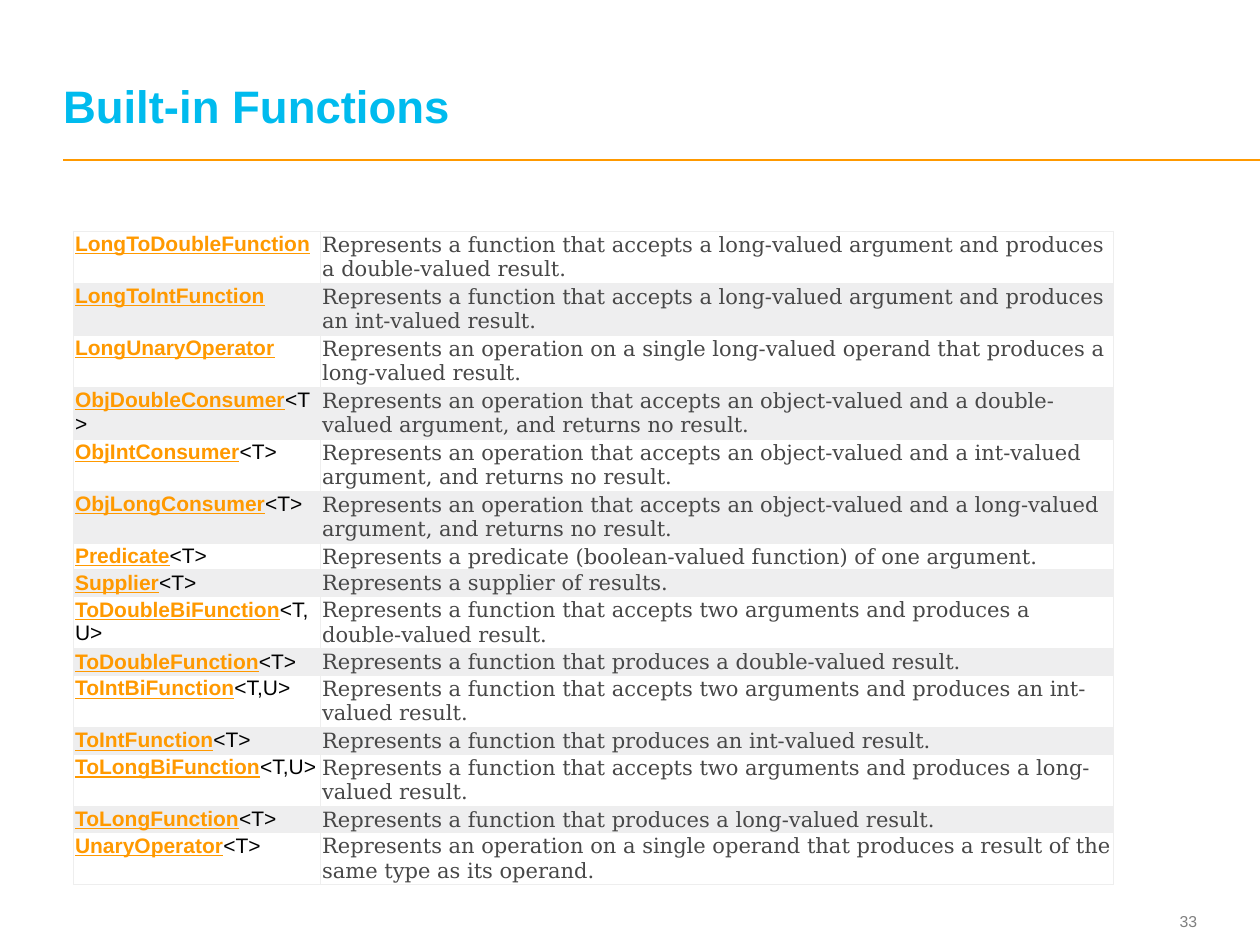
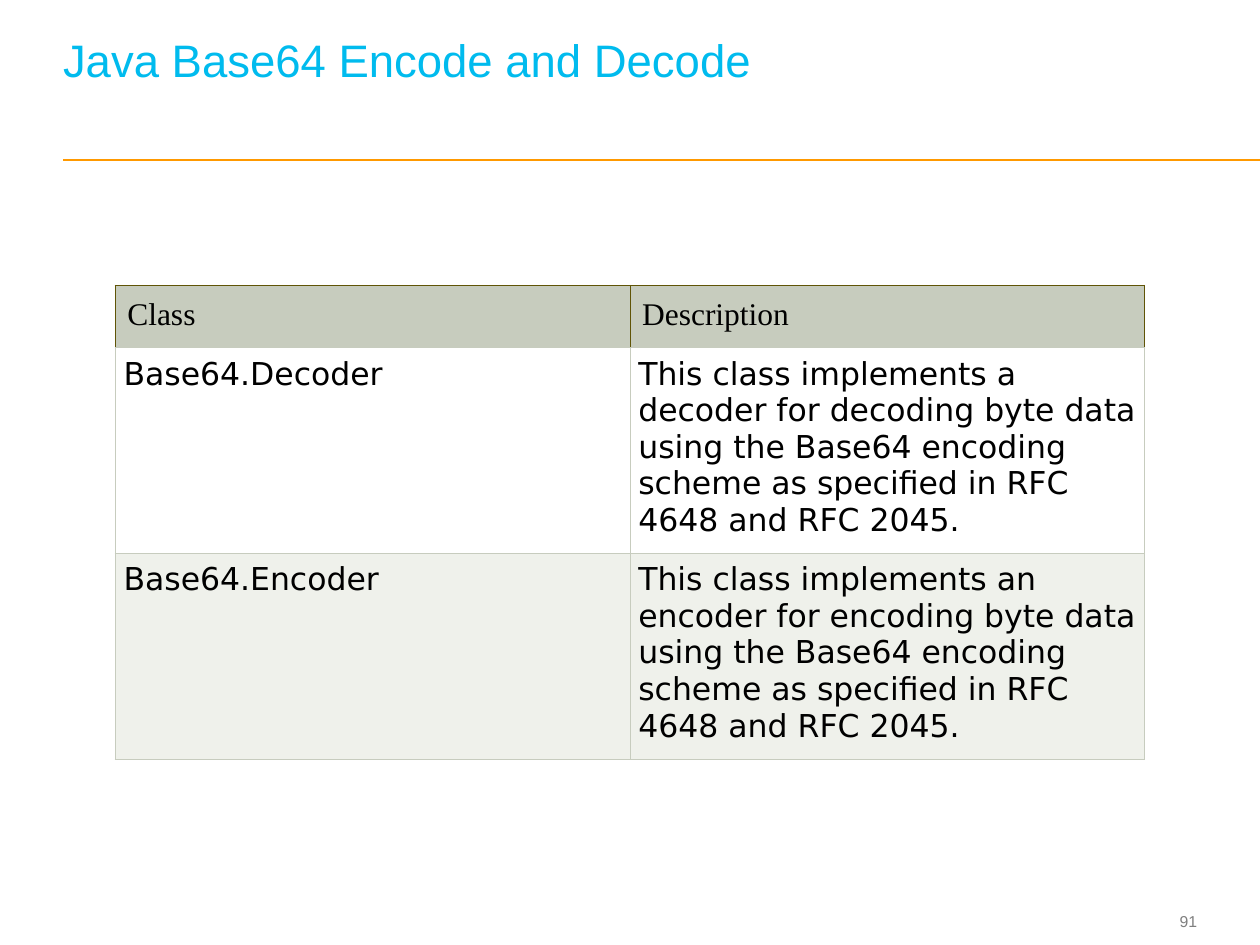
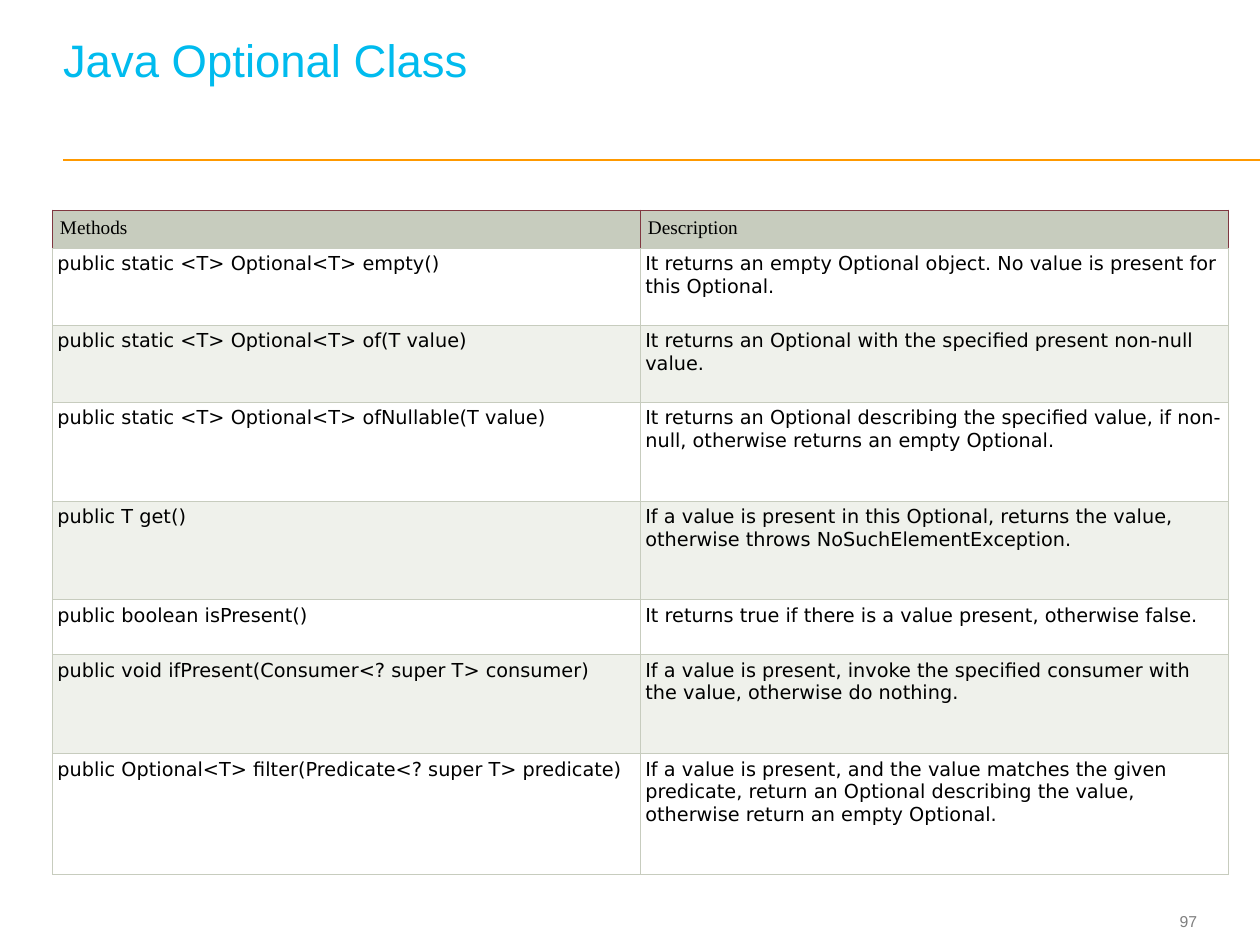
import math

import pptx
import pptx.dml.color
import pptx.enum.shapes
import pptx.enum.text
import pptx.oxml
import pptx.oxml.ns
import pptx.util

Pt = pptx.util.Pt
TITLE_ONLY = 5

COLORS = {
    "title": "00BBEE",
    "accent": "FF9900",
    "page": "7F7F7F",
    "black": "000000",
    "white": "FFFFFF",
    "prose": "474747",
    "grey_band": "EEEEEF",
    "grey_edge": "EEEEEE",
    "sage": "C7CCBE",
    "sage_band": "EFF1EB",
    "olive": "605406",
    "wine": "803740",
}

FUNCTIONS = [
    ("LongToDoubleFunction", "", "Represents a function that accepts a long-valued argument "
     "and produces a double-valued result."),
    ("LongToIntFunction", "", "Represents a function that accepts a long-valued argument "
     "and produces an int-valued result."),
    ("LongUnaryOperator", "", "Represents an operation on a single long-valued operand "
     "that produces a long-valued result."),
    ("ObjDoubleConsumer", "<T>", "Represents an operation that accepts an object-valued "
     "and a double-valued argument, and returns no result."),
    ("ObjIntConsumer", "<T>", "Represents an operation that accepts an object-valued "
     "and a int-valued argument, and returns no result."),
    ("ObjLongConsumer", "<T>", "Represents an operation that accepts an object-valued "
     "and a long-valued argument, and returns no result."),
    ("Predicate", "<T>", "Represents a predicate (boolean-valued function) of one argument."),
    ("Supplier", "<T>", "Represents a supplier of results."),
    ("ToDoubleBiFunction", "<T,U>", "Represents a function that accepts two arguments "
     "and produces a double-valued result."),
    ("ToDoubleFunction", "<T>", "Represents a function that produces a double-valued result."),
    ("ToIntBiFunction", "<T,U>", "Represents a function that accepts two arguments "
     "and produces an int-valued result."),
    ("ToIntFunction", "<T>", "Represents a function that produces an int-valued result."),
    ("ToLongBiFunction", "<T,U>", "Represents a function that accepts two arguments "
     "and produces a long-valued result."),
    ("ToLongFunction", "<T>", "Represents a function that produces a long-valued result."),
    ("UnaryOperator", "<T>", "Represents an operation on a single operand that produces "
     "a result of the same type as its operand."),
]

BASE64_CLASSES = [
    ("Class", "Description"),
    ("Base64.Decoder", "This class implements a decoder for decoding byte data using the "
     "Base64 encoding scheme as specified in RFC 4648 and RFC 2045."),
    ("Base64.Encoder", "This class implements an encoder for encoding byte data using the "
     "Base64 encoding scheme as specified in RFC 4648 and RFC 2045."),
]

OPTIONAL_METHODS = [
    ("Methods", "Description"),
    ("public static <T> Optional<T> empty()",
     "It returns an empty Optional object. No value is present for this Optional."),
    ("public static <T> Optional<T> of(T value)",
     "It returns an Optional with the specified present non-null value."),
    ("public static <T> Optional<T> ofNullable(T value)",
     "It returns an Optional describing the specified value, if non-null, "
     "otherwise returns an empty Optional."),
    ("public T get()",
     "If a value is present in this Optional, returns the value, "
     "otherwise throws NoSuchElementException."),
    ("public boolean isPresent()",
     "It returns true if there is a value present, otherwise false."),
    ("public void ifPresent(Consumer<? super T> consumer)",
     "If a value is present, invoke the specified consumer with the value, "
     "otherwise do nothing."),
    ("public Optional<T> filter(Predicate<? super T> predicate)",
     "If a value is present, and the value matches the given predicate, return an Optional "
     "describing the value, otherwise return an empty Optional."),
]


def rgb(name):
    return pptx.dml.color.RGBColor.from_string(COLORS[name])


def add_run(p, text, font, size, color, bold=False, underline=False):
    r = p.add_run()
    r.text = text
    r.font.name = font
    r.font.size = Pt(size)
    r.font.color.rgb = rgb(color)
    r.font.bold = bold
    r.font.underline = underline


def set_margins(box, left, top, right, bottom):
    box.margin_left, box.margin_top = Pt(left), Pt(top)
    box.margin_right, box.margin_bottom = Pt(right), Pt(bottom)


def add_title(s, text, bold, lift):
    """Fill the title placeholder; lift raises the text above the box's bottom."""
    sp = s.shapes.title
    sp.left, sp.top, sp.width, sp.height = Pt(36), Pt(13.7), Pt(646), Pt(62)
    tf = sp.text_frame
    tf.auto_size = pptx.enum.text.MSO_AUTO_SIZE.NONE
    tf.vertical_anchor = pptx.enum.text.MSO_ANCHOR.BOTTOM
    set_margins(tf, 0, 0, 0, lift)
    p = tf.paragraphs[0]
    p.alignment = pptx.enum.text.PP_ALIGN.LEFT
    p.line_spacing = Pt(26)
    add_run(p, text, "Arial", 26, "title", bold)


def add_title_rule(s):
    line = s.shapes.add_connector(
        pptx.enum.shapes.MSO_CONNECTOR.STRAIGHT, Pt(36), Pt(91.4), Pt(720), Pt(91.4))
    line.line.color.rgb = rgb("accent")
    line.line.width = Pt(1)
    pptx.oxml.ns.qn("a:effectLst")
    line._element.spPr.append(
        pptx.oxml.parse_xml(f"<a:effectLst {pptx.oxml.ns.nsdecls('a')}/>"))


def add_page_number(s, number):
    tf = s.shapes.add_textbox(Pt(641.5), Pt(517), Pt(42.5), Pt(19.4)).text_frame
    tf.word_wrap = True
    tf.vertical_anchor = pptx.enum.text.MSO_ANCHOR.MIDDLE
    set_margins(tf, 0, 0, 0, 0)
    p = tf.paragraphs[0]
    p.alignment = pptx.enum.text.PP_ALIGN.RIGHT
    add_run(p, str(number), "Arial", 9, "page")


def add_slide(prs, title, number, bold=False, lift=0):
    s = prs.slides.add_slide(prs.slide_layouts[TITLE_ONLY])
    add_title_rule(s)
    add_page_number(s, number)
    add_title(s, title, bold, lift)
    return s


def set_borders(cell, **edges):
    """Draw thin borders; edges maps L, R, T, B to colour names."""
    tcPr = cell._tc.get_or_add_tcPr()
    for side in "LRTB":
        tcPr.append(pptx.oxml.parse_xml(
            f'<a:ln{side} {pptx.oxml.ns.nsdecls("a")} w="7620"><a:solidFill>'
            f'<a:srgbClr val="{COLORS[edges[side]]}"/></a:solidFill></a:ln{side}>'))


def add_grid(s, left, top, widths, heights):
    """Add an unstyled table with the given column widths and row heights."""
    table = s.shapes.add_table(len(heights), len(widths), Pt(left), Pt(top),
                               Pt(sum(widths)), Pt(sum(heights))).table
    table.first_row = table.horz_banding = False
    for column, width in zip(table.columns, widths):
        column.width = Pt(width)
    for row, height in zip(table.rows, heights):
        row.height = Pt(height)
    return table


def format_cell(cell, fill, margins, edge, bottom=None):
    set_borders(cell, L=edge, R=edge, T=edge, B=bottom or edge)
    cell.fill.solid()
    cell.fill.fore_color.rgb = rgb(fill)
    set_margins(cell, *margins)
    return cell.text_frame.paragraphs[0]


def add_function_table(s):
    heights = [(15.2, 29.6)[math.ceil(len(text) / 72) - 1] for _, _, text in FUNCTIONS]
    table = add_grid(s, 42, 132, [141.2, 453], heights)
    for i, (name, params, text) in enumerate(FUNCTIONS):
        fill = ("white", "grey_band")[i % 2]
        name_p, text_p = (format_cell(table.cell(i, j), fill, (0.9, 0.9, 0, 0), "grey_edge")
                          for j in range(2))
        add_run(name_p, name, "Arial", 12, "accent", bold=True, underline=True)
        if params:
            add_run(name_p, params, "Arial", 12, "black")
        add_run(text_p, text, "DejaVu Serif", 12, "prose")


def add_reference_table(s, left, top, width, heights, rows, size, header_edge,
                        header_margin, margin):
    table = add_grid(s, left, top, [width] * 2, heights)
    for i, row in enumerate(rows):
        for j, text in enumerate(row):
            cell = table.cell(i, j)
            if i == 0:
                p = format_cell(cell, "sage", [header_margin] * 4, header_edge, "sage")
                add_run(p, text, "Times New Roman", size, "black")
            else:
                fill = ("sage_band", "white")[i % 2]
                p = format_cell(cell, fill, [margin] * 4, "sage")
                add_run(p, text, "DejaVu Sans", size, "black")


def main():
    prs = pptx.Presentation()
    prs.slide_width, prs.slide_height = Pt(720), Pt(540)

    s = add_slide(prs, "Built-in Functions", 33, bold=True)
    add_function_table(s)

    s = add_slide(prs, "Java Base64 Encode and Decode", 91, lift=26)
    add_reference_table(s, 65.8, 163, 294.2, [34.4, 114, 114], BASE64_CLASSES,
                        18, "olive", 7, 4.8)

    s = add_slide(prs, "Java Optional Class", 97, lift=26)
    add_reference_table(s, 30, 120, 336, [21.3, 44, 44, 56.5, 56.5, 31.3, 56.5, 69.2],
                        OPTIONAL_METHODS, 11, "wine", 4.3, 2.8)

    prs.save("out.pptx")


if __name__ == "__main__":
    main()
